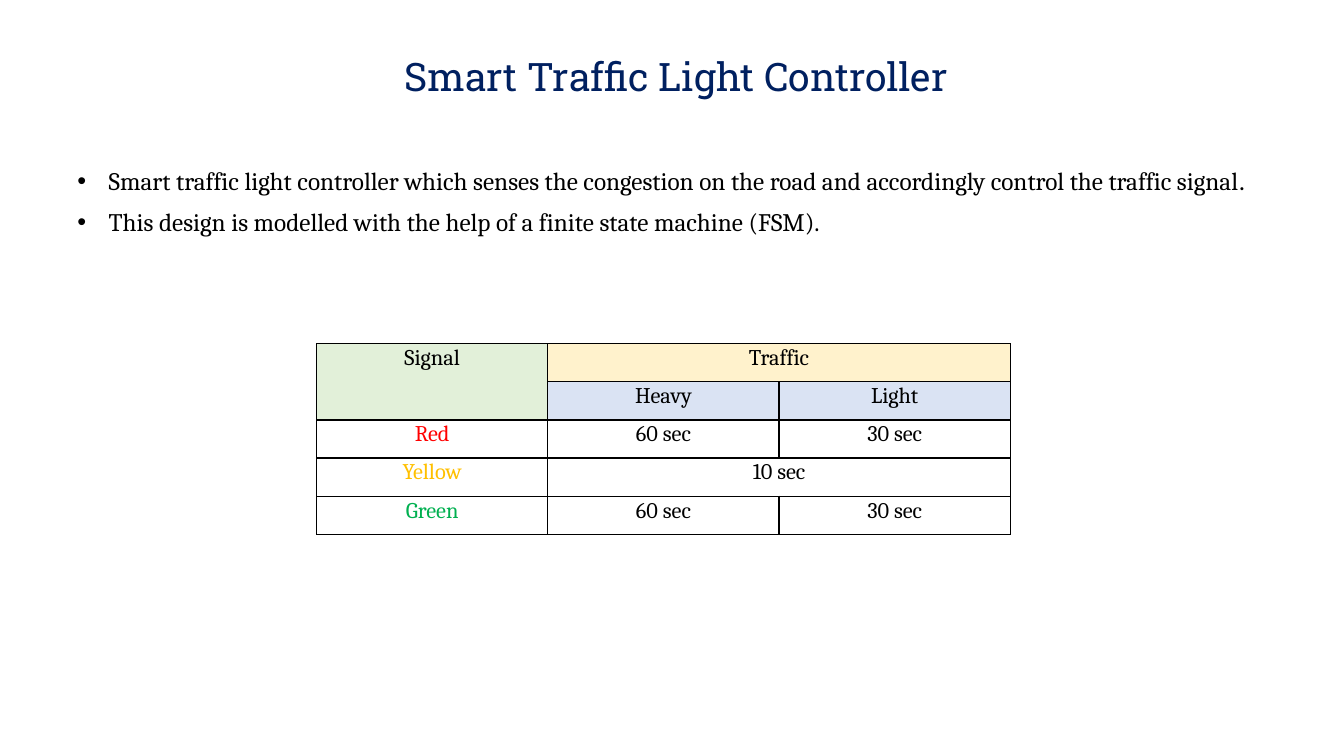
from lxml.etree import SubElement
from pptx import Presentation
from pptx.dml.color import RGBColor
from pptx.enum.text import MSO_ANCHOR, MSO_AUTO_SIZE, PP_ALIGN
from pptx.oxml.ns import qn
from pptx.util import Inches, Pt

NAVY = RGBColor(0x00, 0x20, 0x60)
BLACK = RGBColor(0x00, 0x00, 0x00)
RED = RGBColor(0xFF, 0x00, 0x00)
YELLOW = RGBColor(0xFF, 0xC0, 0x00)
GREEN = RGBColor(0x00, 0xB0, 0x50)
PALE_GREEN = RGBColor(0xE2, 0xF0, 0xD9)
PALE_YELLOW = RGBColor(0xFF, 0xF2, 0xCC)
PALE_BLUE = RGBColor(0xDA, 0xE3, 0xF3)

LEFT, WIDTH = Inches(0.67), Inches(12.07)
INDENT = Inches(0.31)

BULLETS = [
    [("Smart traffic light controller which senses the congestion on the road "
      "and accordingly control the traffic signal", "Cambria"), (".", "Calibri")],
    [("This design is modelled with the help of a finite state machine (FSM).",
      "Cambria")],
]

# Row, column, rows spanned, columns spanned, text, text colour, fill
CELLS = [
    (0, 0, 2, 1, "Signal", BLACK, PALE_GREEN),
    (0, 1, 1, 2, "Traffic", BLACK, PALE_YELLOW),
    (1, 1, 1, 1, "Heavy", BLACK, PALE_BLUE),
    (1, 2, 1, 1, "Light", BLACK, PALE_BLUE),
    (2, 0, 1, 1, "Red", RED, None),
    (2, 1, 1, 1, "60 sec", BLACK, None),
    (2, 2, 1, 1, "30 sec", BLACK, None),
    (3, 0, 1, 1, "Yellow", YELLOW, None),
    (3, 1, 1, 2, "10 sec", BLACK, None),
    (4, 0, 1, 1, "Green", GREEN, None),
    (4, 1, 1, 1, "60 sec", BLACK, None),
    (4, 2, 1, 1, "30 sec", BLACK, None),
]


def set_font(font, name, size, color):
    font.name = name
    font.size = Pt(size)
    font.color.rgb = color


def set_title(page, text):
    title = page.shapes.title
    title.left, title.top = LEFT, Inches(0.52)
    title.width, title.height = WIDTH, Inches(0.7)
    frame = title.text_frame
    frame.text = text
    frame.auto_size = MSO_AUTO_SIZE.NONE
    frame.vertical_anchor = MSO_ANCHOR.TOP
    para = frame.paragraphs[0]
    para.alignment = PP_ALIGN.CENTER
    para.line_spacing = 0.9
    set_font(para.font, "Roboto Slab", 28, NAVY)


def add_bullets(page, bullets):
    frame = page.shapes.add_textbox(LEFT, Inches(1.62), WIDTH, Inches(1)).text_frame
    frame.word_wrap = True
    for index, spans in enumerate(bullets):
        para = frame.add_paragraph() if index else frame.paragraphs[0]
        properties = para._p.get_or_add_pPr()
        properties.set("marL", str(INDENT))
        properties.set("indent", str(-INDENT))
        para.line_spacing = 0.9
        if index:
            para.space_before = Pt(10)
        SubElement(properties, qn("a:buFont"), typeface="Arial")
        SubElement(properties, qn("a:buChar"), char="•")
        for text, font_name in spans:
            span = para.add_run()
            span.text = text
            set_font(span.font, font_name, 18, BLACK)


def add_borders(cell):
    properties = cell._tc.get_or_add_tcPr()
    for position, side in enumerate(("a:lnL", "a:lnR", "a:lnT", "a:lnB")):
        line = properties.makeelement(qn(side), {"w": str(Pt(1))})
        fill = SubElement(line, qn("a:solidFill"))
        SubElement(fill, qn("a:srgbClr"), val=str(BLACK))
        properties.insert(position, line)


def fill_cell(cell, text, color, fill):
    if fill is not None:
        cell.fill.solid()
        cell.fill.fore_color.rgb = fill
    cell.text = text
    para = cell.text_frame.paragraphs[0]
    para.alignment = PP_ALIGN.CENTER
    para.line_spacing = 1.07
    para.space_after = Pt(8)
    set_font(para.font, "Cambria", 16, color)


def add_signal_table(page):
    table = page.shapes.add_table(
        5, 3, Inches(3.14), Inches(3.41), Inches(6.88), Inches(1.89)).table
    table.first_row = table.horz_banding = False
    # Base look of every cell, merged ones included
    for cell in table.iter_cells():
        cell.margin_left = cell.margin_right = Inches(0.07)
        cell.margin_top = cell.margin_bottom = 0
        cell.fill.background()
        add_borders(cell)
    for row, column, rows, columns, text, color, fill in CELLS:
        cell = table.cell(row, column)
        if rows * columns > 1:
            cell.merge(table.cell(row + rows - 1, column + columns - 1))
        fill_cell(cell, text, color, fill)


def main():
    deck = Presentation()
    deck.slide_width, deck.slide_height = Inches(13.33), Inches(7.5)
    page = deck.slides.add_slide(deck.slide_layouts[5])
    set_title(page, "Smart Traffic Light Controller")
    add_bullets(page, BULLETS)
    add_signal_table(page)
    deck.save("out.pptx")


if __name__ == "__main__":
    main()
